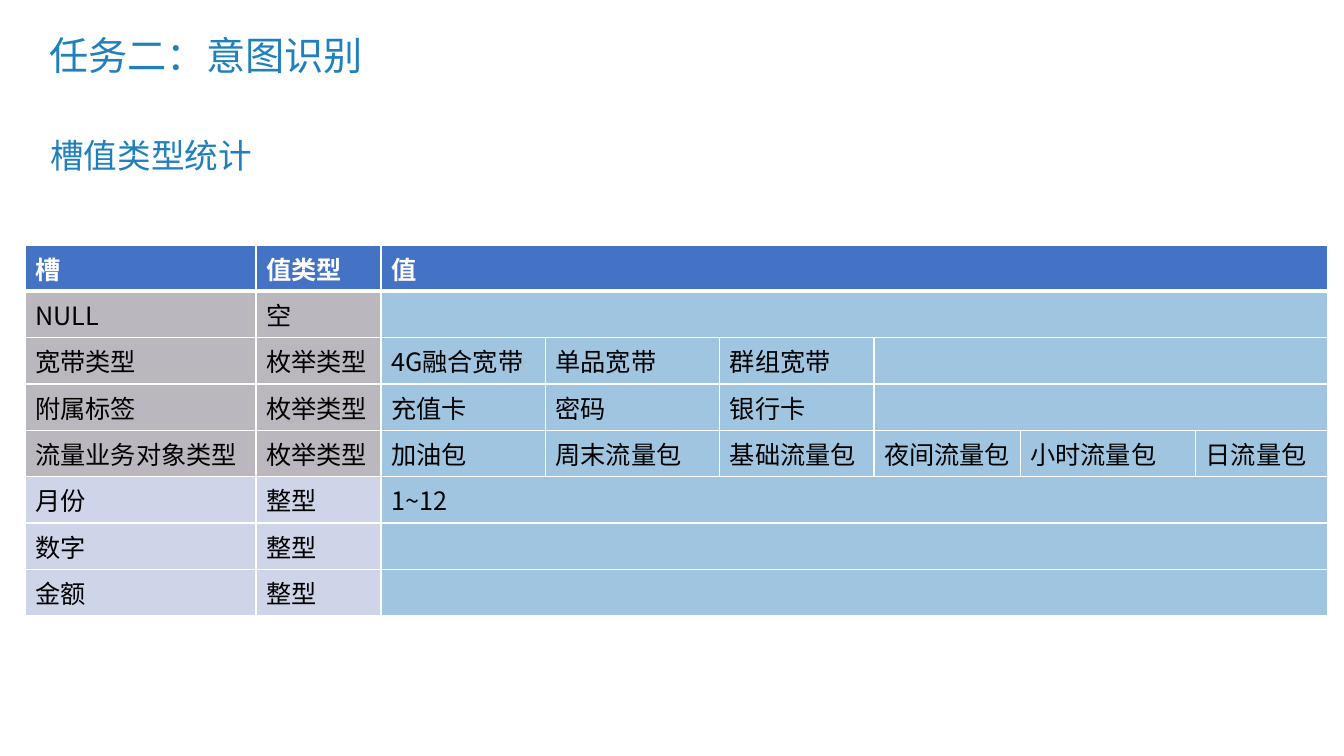
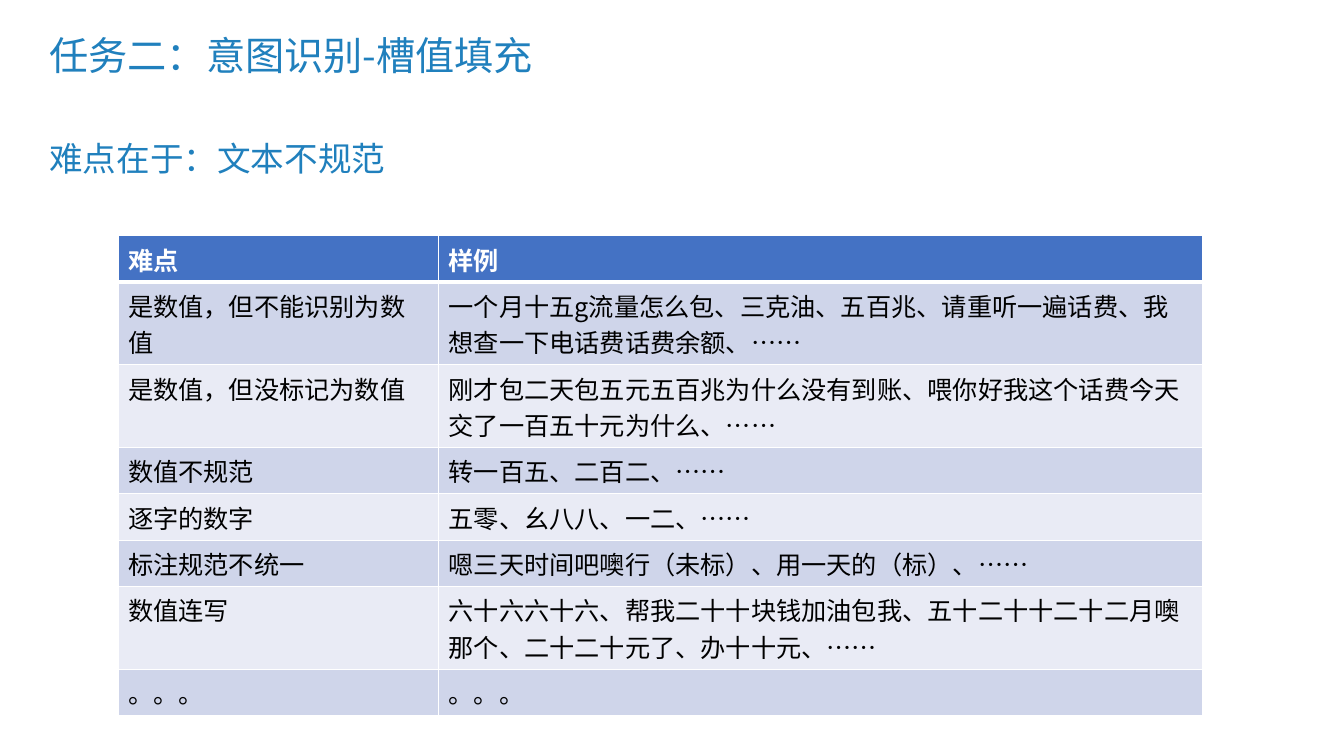
from itertools import cycle

from lxml import etree
from pptx import Presentation
from pptx import util as u
from pptx.dml.color import RGBColor
from pptx.enum import lang, text
from pptx.oxml import ns

THEME = {
    "font": "Noto Sans CJK SC",
    "accent": "2080BD", "header": "4472C4", "white": "FFFFFF", "black": "000000",
    "enumerated": "BBB7BE", "integer": "CFD5E8", "value": "9FC5E0",
    "bands": ("CFD5EA", "E9EBF5"),
    "title_size": 28, "subtitle_size": 24, "table_size": 18,
    "border": 1, "header_border": 3,
}
SLIDE_SIZE = (13.33, 7.5)
TITLE_BOX = (0.39, 0.28, 11.5, 0.59)
ROW_HEIGHT = 0.46
EXTRA_LINE = 0.36

# Content: the last cell of a row spans the columns that remain
SLOT_ROWS = [
    ("槽", "值类型", "值"),
    ("NULL", "空", ""),
    ("宽带类型", "枚举类型", "4G融合宽带", "单品宽带", "群组宽带", ""),
    ("附属标签", "枚举类型", "充值卡", "密码", "银行卡", ""),
    ("流量业务对象类型", "枚举类型", "加油包", "周末流量包", "基础流量包",
     "夜间流量包", "小时流量包", "日流量包"),
    ("月份", "整型", "1~12"),
    ("数字", "整型", ""),
    ("金额", "整型", ""),
]
DIFFICULTY_ROWS = [
    ("难点", "样例"),
    ("是数值，但不能识别为数值",
     "一个月十五g流量怎么包、三克油、五百兆、请重听一遍话费、我想查一下电话费话费余额、……"),
    ("是数值，但没标记为数值",
     "刚才包二天包五元五百兆为什么没有到账、喂你好我这个话费今天交了一百五十元为什么、……"),
    ("数值不规范", "转一百五、二百二、……"),
    ("逐字的数字", "五零、幺八八、一二、……"),
    ("标注规范不统一", "嗯三天时间吧噢行（未标）、用一天的（标）、……"),
    ("数值连写",
     "六十六六十六、帮我二十十块钱加油包我、五十二十十二十二月噢那个、二十二十元了、办十十元、……"),
    ("。。。", "。。。"),
]


def slot_fills(rows):
    """Colour the two label columns by value type and the rest as values."""
    fills = []
    for row in rows:
        label = THEME["integer" if row[1] == "整型" else "enumerated"]
        fills.append([label] * 2 + [THEME["value"]] * (len(row) - 2))
    return fills


def banded_fills(rows):
    return [[band] * len(row) for row, band in zip(rows, cycle(THEME["bands"]))]


SLIDES = [
    {"title": "任务二：意图识别", "subtitle": "槽值类型统计",
     "subtitle_box": (0.4, 1.29, 2.22, 0.5), "table_at": (0.25, 2.43),
     "columns": (2.29, 1.24, 1.63, 1.73, 1.53, 1.45, 1.74, 1.31),
     "rows": SLOT_ROWS, "fills": slot_fills, "two_line_rows": ()},
    {"title": "任务二：意图识别-槽值填充", "subtitle": "难点在于：文本不规范",
     "subtitle_box": (0.39, 1.32, 3.57, 0.5), "table_at": (1.17, 2.34),
     "columns": (3.18, 7.58),
     "rows": DIFFICULTY_ROWS, "fills": banded_fills, "two_line_rows": (1, 2, 6)},
]


def inches(lengths):
    return [u.Inches(length) for length in lengths]


def write(frame, words, size, color, bold=False):
    """Put one run of formatted text in a text frame."""
    paragraph = frame.paragraphs[0]
    run = paragraph.add_run()
    run.text = words
    formats = {"name": THEME["font"], "size": u.Pt(size), "bold": bold,
               "language_id": lang.MSO_LANGUAGE_ID.SIMPLIFIED_CHINESE}
    for name, value in formats.items():
        setattr(run.font, name, value)
    run.font.color.rgb = RGBColor.from_string(color)
    east_asian = etree.SubElement(run.font._element, ns.qn("a:ea"))
    east_asian.set("typeface", THEME["font"])
    return paragraph


def set_borders(cell, top, bottom):
    """Draw white borders, which go before the fill in the cell properties."""
    properties = cell._tc.get_or_add_tcPr()
    widths = {"lnL": THEME["border"], "lnR": THEME["border"], "lnT": top, "lnB": bottom}
    for index, (side, width) in enumerate(widths.items()):
        line = etree.Element(ns.qn(f"a:{side}"), w=str(u.Pt(width)))
        fill = etree.SubElement(line, ns.qn("a:solidFill"))
        etree.SubElement(fill, ns.qn("a:srgbClr"), val=THEME["white"])
        properties.insert(index, line)


def add_heading(slide, content):
    # Title
    title = slide.shapes.title
    for name, value in zip(("left", "top", "width", "height"), inches(TITLE_BOX)):
        setattr(title, name, value)
    frame = title.text_frame
    frame.auto_size = text.MSO_AUTO_SIZE.NONE
    frame.vertical_anchor = text.MSO_ANCHOR.MIDDLE
    paragraph = write(frame, content["title"], THEME["title_size"], THEME["accent"])
    paragraph.alignment = text.PP_ALIGN.LEFT
    paragraph.line_spacing = 0.9
    # Subtitle
    frame = slide.shapes.add_textbox(*inches(content["subtitle_box"])).text_frame
    frame.word_wrap = False
    frame.auto_size = text.MSO_AUTO_SIZE.SHAPE_TO_FIT_TEXT
    write(frame, content["subtitle"], THEME["subtitle_size"], THEME["accent"])


def add_table(slide, content):
    rows, columns = content["rows"], content["columns"]
    heights = [ROW_HEIGHT + EXTRA_LINE * (r in content["two_line_rows"])
               for r in range(len(rows))]
    size = (sum(columns), sum(heights))
    table = slide.shapes.add_table(
        len(rows), len(columns), *inches(content["table_at"] + size)).table
    for column, width in zip(table.columns, inches(columns)):
        column.width = width
    for table_row, height in zip(table.rows, inches(heights)):
        table_row.height = height

    last_column = len(columns) - 1
    fills = [[THEME["header"]] * len(rows[0])] + content["fills"](rows[1:])
    for r, (row, row_fills) in enumerate(zip(rows, fills)):
        is_header = r == 0
        top = THEME["header_border" if r == 1 else "border"]
        bottom = THEME["header_border" if is_header else "border"]
        # Cells under a span take the fill of the cell that covers them
        for c in range(len(columns)):
            cell = table.cell(r, c)
            cell.fill.solid()
            cell.fill.fore_color.rgb = RGBColor.from_string(
                row_fills[min(c, len(row) - 1)])
            set_borders(cell, top, bottom)
        for c, words in enumerate(row):
            write(table.cell(r, c).text_frame, words, THEME["table_size"],
                  THEME["white" if is_header else "black"], is_header)
        if len(row) <= last_column:
            table.cell(r, len(row) - 1).merge(table.cell(r, last_column))


def main():
    presentation = Presentation()
    presentation.slide_width, presentation.slide_height = inches(SLIDE_SIZE)
    title_only = presentation.slide_layouts[5]
    for content in SLIDES:
        slide = presentation.slides.add_slide(title_only)
        add_heading(slide, content)
        add_table(slide, content)
    presentation.save("out.pptx")


if __name__ == "__main__":
    main()
